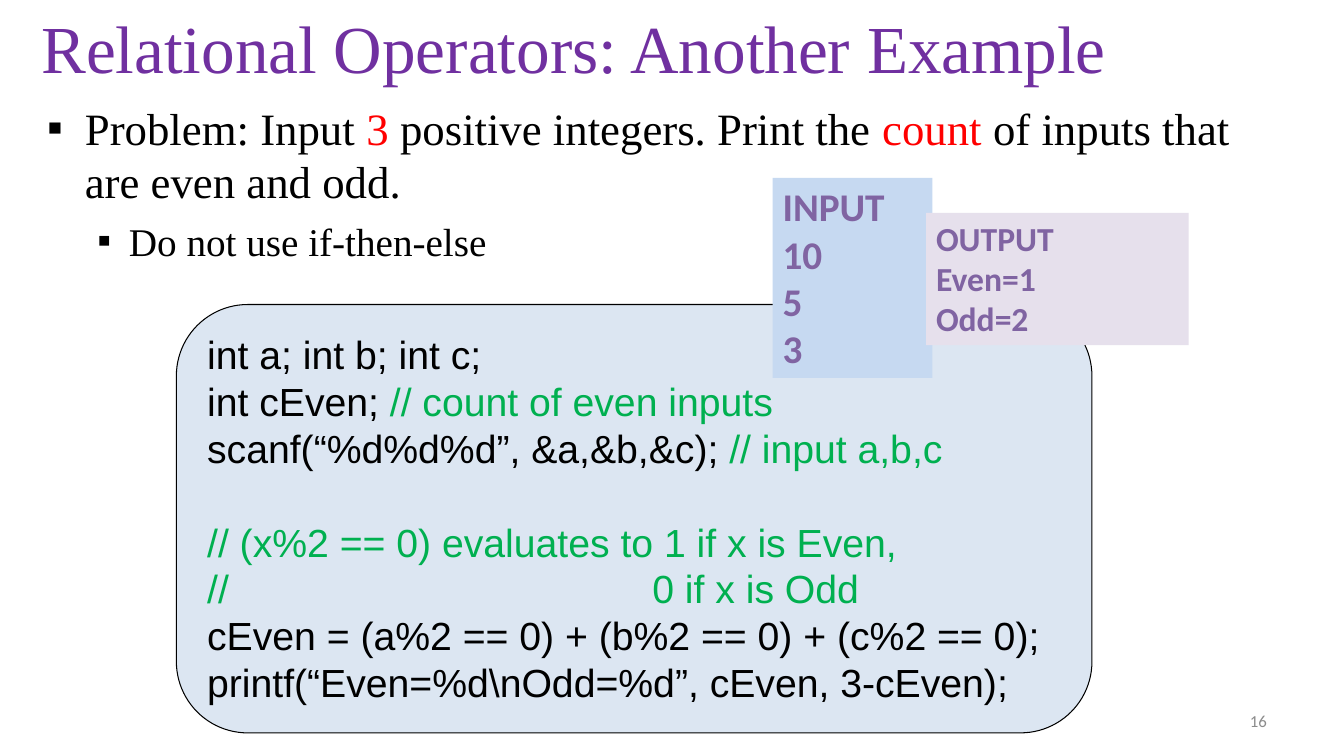
from dataclasses import dataclass

from lxml.etree import SubElement
from pptx import Presentation
from pptx.dml.color import RGBColor
from pptx.enum.shapes import MSO_SHAPE
from pptx.enum.text import MSO_ANCHOR, PP_ALIGN
from pptx.oxml.ns import qn
from pptx.util import Pt


@dataclass(frozen=True)
class Theme:
    serif: str = "Times New Roman"
    sans: str = "Arial"
    label: str = "Calibri"
    black: str = "000000"
    title: str = "7030A0"
    accent: str = "FF0000"
    comment: str = "00B050"
    sample: str = "8064A2"
    muted: str = "8C8C8C"
    code_fill: str = "DCE6F2"
    input_fill: str = "C6D9F1"
    output_fill: str = "E6E0EC"
    title_size: float = 48
    body_size: float = 32
    code_size: float = 28
    output_size: float = 24
    number_size: float = 12


T = Theme()


def add_panel(s, box, fill, preset=MSO_SHAPE.RECTANGLE, line=None):
    sp = s.shapes.add_shape(preset, *map(Pt, box))
    sp.shadow.inherit = False
    sp.fill.solid()
    sp.fill.fore_color.rgb = RGBColor.from_string(fill)
    if line:
        sp.line.color.rgb = RGBColor.from_string(line)
        sp.line.width = Pt(0.75)
    else:
        sp.line.fill.background()
    return frame(sp)


def add_text(s, box, anchor=MSO_ANCHOR.TOP):
    return frame(s.shapes.add_textbox(*map(Pt, box)), anchor)


def frame(sp, anchor=MSO_ANCHOR.TOP):
    tf = sp.text_frame
    tf.word_wrap = True
    tf.vertical_anchor = anchor
    return tf


def add_para(tf, runs, font, size, bold=False, **layout):
    """Fill the empty first paragraph or append one; runs are (text, colour) pairs."""
    p = tf.paragraphs[0]
    if p.runs:
        p = tf.add_paragraph()
    for name, value in ({"alignment": PP_ALIGN.LEFT} | layout).items():
        setattr(p, name, value)
    for text, color in runs:
        r = p.add_run()
        r.text = text
        for name, value in {"name": font, "size": Pt(size), "bold": bold}.items():
            setattr(r.font, name, value)
        r.font.color.rgb = RGBColor.from_string(color)
    return p


def add_bullet(p, left, hang):
    pPr = p._p.get_or_add_pPr()
    pPr.set("marL", str(Pt(left)))
    pPr.set("indent", str(-Pt(hang)))
    SubElement(pPr, qn("a:buFont"), typeface=T.serif)
    SubElement(pPr, qn("a:buChar"), char="▪")


def add_tab(p, at):
    tabs = SubElement(p._p.get_or_add_pPr(), qn("a:tabLst"))
    SubElement(tabs, qn("a:tab"), pos=str(Pt(at)), algn="l")


def add_title(s, box):
    tf = add_text(s, box, MSO_ANCHOR.MIDDLE)
    add_para(tf, [("Relational Operators: Another Example", T.title)], T.serif, T.title_size)


def add_problem(s, box):
    tf = add_text(s, box)
    task = [("Problem: Input ", T.black), ("3", T.accent),
            (" positive integers. Print the ", T.black), ("count", T.accent),
            (" of inputs that are even and odd.", T.black)]
    p = add_para(tf, task, T.serif, T.body_size, line_spacing=Pt(38.5))
    add_bullet(p, 27, 27)
    p = add_para(tf, [("Do not use if-then-else", T.black)], T.serif, T.code_size,
                 level=1, line_spacing=Pt(33.5), space_before=Pt(6.5))
    add_bullet(p, 58.5, 22.5)


def add_code(s, box):
    """Split each line into code and its trailing comment; group gaps are one line high."""
    tf = add_panel(s, box, T.code_fill, MSO_SHAPE.ROUNDED_RECTANGLE, T.black)
    pitch = Pt(33.5)
    groups = [
        ["int a; int b; int c;",
         "int cEven; // count of even inputs",
         "scanf(“%d%d%d”, &a,&b,&c); // input a,b,c"],
        ["// (x%2 == 0) evaluates to 1 if x is Even,",
         "//\t0 if x is Odd",
         "cEven = (a%2 == 0) + (b%2 == 0) + (c%2 == 0);",
         r"printf(“Even=%d\nOdd=%d”, cEven, 3-cEven);"],
    ]
    for g, lines in enumerate(groups):
        for i, line in enumerate(lines):
            code, mark, note = line.partition("//")
            runs = [(text, color) for text, color in
                    ((code, T.black), (mark + note, T.comment)) if text]
            layout = {"space_before": pitch} if g and i == 0 else {}
            p = add_para(tf, runs, T.sans, T.code_size, line_spacing=pitch, **layout)
            if "\t" in line:
                add_tab(p, 318)


def add_sample(s, box, fill, size, lines):
    tf = add_panel(s, box, fill)
    for line in lines:
        add_para(tf, [(line, T.sample)], T.label, size, bold=True)


def add_number(s, box):
    tf = add_text(s, box, MSO_ANCHOR.MIDDLE)
    add_para(tf, [("16", T.muted)], T.label, T.number_size, alignment=PP_ALIGN.RIGHT)


def main():
    prs = Presentation()
    prs.slide_width, prs.slide_height = Pt(960), Pt(540)
    s = prs.slides.add_slide(prs.slide_layouts[6])
    add_code(s, (126, 217.5, 654, 306))
    add_title(s, (22.5, 6.5, 818, 54))
    add_problem(s, (26.5, 68, 868, 156))
    add_sample(s, (552, 127, 114, 143), T.input_fill, T.code_size, ["INPUT", "10", "5", "3"])
    add_sample(s, (661.5, 152, 187.5, 94.5), T.output_fill, T.output_size,
               ["OUTPUT", "Even=1", "Odd=2"])
    add_number(s, (688, 500.5, 224, 28.5))
    prs.save("out.pptx")


if __name__ == "__main__":
    main()
